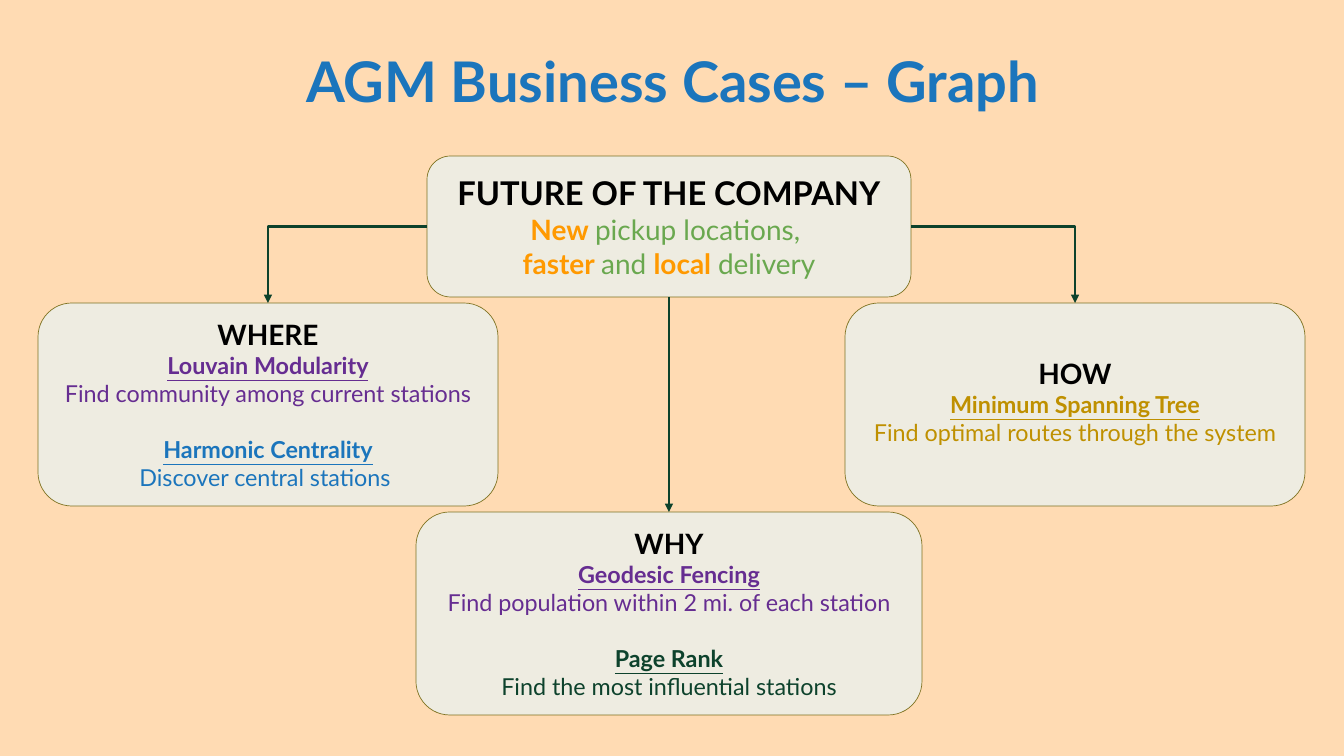
"""Builds the slide of business cases branching from the company's future."""
from lxml import etree
from pptx import Presentation
from pptx.dml.color import RGBColor
from pptx.enum.shapes import MSO_CONNECTOR, MSO_SHAPE
from pptx.enum.text import MSO_ANCHOR, MSO_AUTO_SIZE, PP_ALIGN
from pptx.oxml.ns import qn
from pptx.util import Emu, Pt

ROUND = MSO_SHAPE.ROUNDED_RECTANGLE
STRAIGHT, ELBOW = MSO_CONNECTOR.STRAIGHT, MSO_CONNECTOR.ELBOW
CENTER, MIDDLE, TOP = PP_ALIGN.CENTER, MSO_ANCHOR.MIDDLE, MSO_ANCHOR.TOP
NO_FIT = MSO_AUTO_SIZE.NONE
TOP_SIDE, LEFT_SIDE, BOTTOM_SIDE, RIGHT_SIDE = range(4)
PX = 914400 / 67.2

THEME = {
    "font": "Lato",
    "colors": {
        "back": "FFDBB3", "box": "EEECE1", "border": "7D711F", "black": "000000",
        "blue": "1B75BC", "orange": "FF9900", "lime": "6AA84F",
        "purple": "662D91", "green": "0D422C", "gold": "BF9000",
    },
    "sizes": {"title": 60, "root": 35, "lead": 30, "head": 30, "body": 25},
    "border": 0.75, "arrow": 3, "gap": 30,
}

TITLE = "AGM Business Cases – Graph"
TITLE_BOX = (87, 47, 1171, 68)
INSET = 7
ROOT = {
    "box": (427, 156, 484, 141),
    "head": "FUTURE OF THE COMPANY",
    "lines": [
        [("New ", "orange"), ("pickup locations, ", "lime")],
        [("faster ", "orange"), ("and ", "lime"),
         ("local ", "orange"), ("delivery", "lime")],
    ],
}
CASES = [
    {"box": (38, 303, 460, 203), "side": LEFT_SIDE, "foot": INSET,
     "head": "WHERE", "topics": [
         ("Louvain Modularity", "Find community among current stations", "purple"),
         ("Harmonic Centrality", "Discover central stations ", "blue")]},
    {"box": (416, 512, 506, 203), "side": BOTTOM_SIDE, "foot": INSET,
     "head": "WHY", "topics": [
         ("Geodesic Fencing", "Find population within 2 mi. of each station", "purple"),
         ("Page Rank", "Find the most influential stations", "green")]},
    {"box": (845, 303, 460, 203), "side": RIGHT_SIDE, "foot": 2 * INSET,
     "head": "HOW", "topics": [
         ("Minimum Spanning Tree", "Find optimal routes through the system", "gold")]},
]


def px(n):
    return Emu(round(n * PX))


def color(name):
    return RGBColor.from_string(THEME["colors"][name])


def add_text(p, text, size="body", fill="black", bold=False, underline=False):
    p.alignment = CENTER
    r = p.add_run()
    r.text = text
    r.font.name = THEME["font"]
    r.font.size = Pt(THEME["sizes"][size])
    r.font.color.rgb = color(fill)
    r.font.bold = bold
    r.font.underline = underline


def add_box(slide, box, foot=INSET):
    sp = slide.shapes.add_shape(ROUND, *map(px, box))
    sp.shadow.inherit = False
    sp.fill.solid()
    sp.fill.fore_color.rgb = color("box")
    sp.line.color.rgb = color("border")
    sp.line.width = Pt(THEME["border"])
    tf = sp.text_frame
    tf.word_wrap = True
    tf.vertical_anchor = MIDDLE
    tf.margin_left = tf.margin_right = tf.margin_top = px(INSET)
    tf.margin_bottom = px(foot)
    return sp, tf


def add_arrow(slide, root, case, side):
    kind = STRAIGHT if side == BOTTOM_SIDE else ELBOW
    cx = slide.shapes.add_connector(kind, 0, 0, 0, 0)
    cx.begin_connect(root, side)
    cx.end_connect(case, TOP_SIDE)
    cx.line.color.rgb = color("green")
    cx.line.width = Pt(THEME["arrow"])
    spPr = cx._element.spPr
    if kind == ELBOW:
        spPr.find(qn("a:prstGeom")).set("prst", "bentConnector2")
    etree.SubElement(spPr.find(qn("a:ln")), qn("a:tailEnd"), type="triangle")
    etree.SubElement(spPr, qn("a:effectLst"))


def main():
    prs = Presentation()
    prs.slide_width, prs.slide_height = px(1344), px(756)
    slide = prs.slides.add_slide(prs.slide_layouts[5])
    slide.background.fill.solid()
    slide.background.fill.fore_color.rgb = color("back")

    title = slide.shapes.title
    title.left, title.top, title.width, title.height = map(px, TITLE_BOX)
    tf = title.text_frame
    tf.margin_left = tf.margin_right = tf.margin_top = tf.margin_bottom = 0
    tf.auto_size, tf.vertical_anchor = NO_FIT, TOP
    add_text(tf.paragraphs[0], TITLE, size="title", fill="blue", bold=True)

    root, tf = add_box(slide, ROOT["box"])
    add_text(tf.paragraphs[0], ROOT["head"], size="root", bold=True)
    for line in ROOT["lines"]:
        p = tf.add_paragraph()
        for text, fill in line:
            add_text(p, text, size="lead", fill=fill, bold=fill == "orange")

    for case in CASES:
        sp, tf = add_box(slide, case["box"], case["foot"])
        add_text(tf.paragraphs[0], case["head"], size="head", bold=True)
        for i, (name, aim, fill) in enumerate(case["topics"]):
            p = tf.add_paragraph()
            if i:
                p.space_before = Pt(THEME["gap"])
            add_text(p, name, fill=fill, bold=True, underline=True)
            add_text(tf.add_paragraph(), aim, fill=fill)
        add_arrow(slide, root, sp, case["side"])

    prs.save("out.pptx")


if __name__ == "__main__":
    main()
